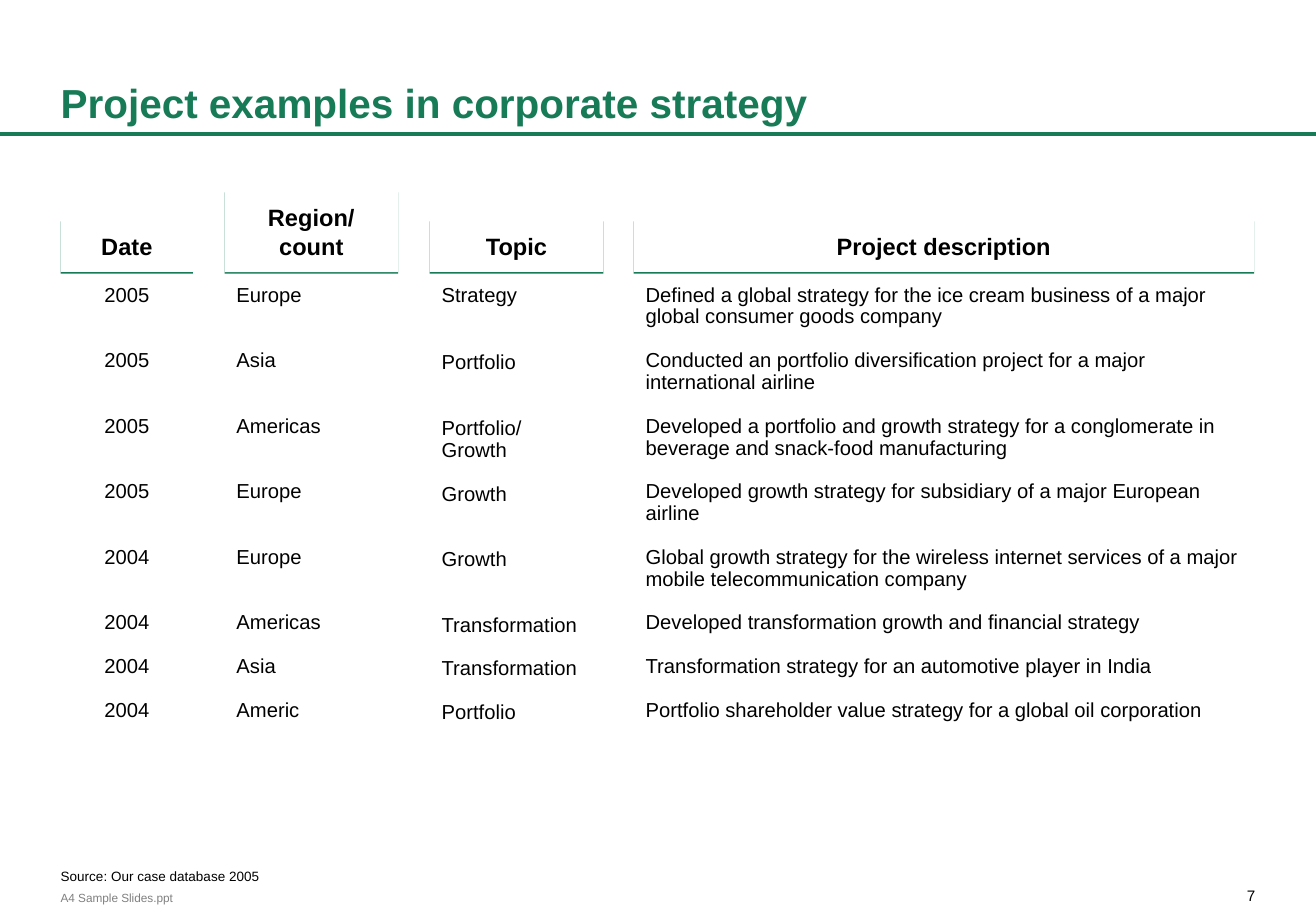
from dataclasses import dataclass

from lxml.etree import SubElement
from pptx import Presentation
from pptx.dml.color import RGBColor as RGB
from pptx.enum.shapes import MSO_CONNECTOR as Wire, MSO_SHAPE as Form
from pptx.enum.text import MSO_ANCHOR as Anchor, PP_ALIGN as Align
from pptx.oxml.ns import qn
from pptx.util import Emu, Pt


@dataclass(frozen=True)
class Theme:
    font: str = "Arial"
    green: str = "177B57"
    black: str = "000000"
    gray: str = "808080"
    white: str = "FFFFFF"
    title: int = 24
    head: int = 14
    body: int = 12
    page: int = 9
    source: int = 8
    foot: int = 7
    head_line: float = 17
    body_line: float = 12.95
    rule: float = 2.25


class Board:
    """Draws the elements of one slide in one theme."""

    def __init__(self, deck, theme, scale):
        self.theme, self.scale = theme, scale
        deck.slide_width, deck.slide_height = self.emu(1084, 750)
        self.slide = deck.slides.add_slide(deck.slide_layouts[6])

    def emu(self, *sizes):
        return [Emu(size * self.scale) for size in sizes]

    def letter(self, shape, text, size, color=None, bold=False, align=Align.LEFT,
               anchor=Anchor.TOP, pads=(0, 0, 0, 0), line=None):
        frame = shape.text_frame
        frame.word_wrap = True
        frame.vertical_anchor = anchor
        (frame.margin_left, frame.margin_top,
         frame.margin_right, frame.margin_bottom) = self.emu(*pads)
        frame.text = text
        for para in frame.paragraphs:
            para.alignment = align
            para.line_spacing = line
            for run in para.runs:
                font = run.font
                font.name, font.size, font.bold = self.theme.font, Pt(size), bold
                font.color.rgb = RGB.from_string(color or self.theme.black)
        return frame

    def label(self, box, text, size, **style):
        shape = self.slide.shapes.add_textbox(*self.emu(*box))
        return self.letter(shape, text, size, **style)

    def rule(self, start, end):
        wire = self.slide.shapes.add_connector(Wire.STRAIGHT, *self.emu(*start, *end))
        wire.line.color.rgb = RGB.from_string(self.theme.green)
        wire.line.width = Pt(self.theme.rule)
        SubElement(wire._element.spPr, qn("a:effectLst"))

    def head(self, box, text):
        shape = self.slide.shapes.add_shape(Form.RECTANGLE, *self.emu(*box))
        shape.fill.solid()
        shape.fill.fore_color.rgb = RGB.from_string(self.theme.white)
        shape.line.fill.background()
        shape.shadow.inherit = False
        effects = shape._element.spPr.find(qn("a:effectLst"))
        shade = SubElement(effects, qn("a:outerShdw"), blurRad="0", dist="12700",
                           dir="5400000", algn="ctr", rotWithShape="0")
        SubElement(shade, qn("a:srgbClr"), val=self.theme.green)
        self.letter(shape, text, self.theme.head, bold=True, align=Align.CENTER,
                    anchor=Anchor.BOTTOM, pads=(10, 10, 10, 10),
                    line=Pt(self.theme.head_line))

    def column(self, box, cells, gaps, align):
        frame = self.label(box, "\n".join(cells), self.theme.body, align=align,
                           pads=(10, 10, 10, 5), line=Pt(self.theme.body_line))
        for para, gap in zip(frame.paragraphs[1:], gaps):
            para.space_before = Pt(round(gap, 2))


ROWS = [
    ("2005", "Europe", "Strategy",
     "Defined a global strategy for the ice cream business of a major "
     "global consumer goods company"),
    ("2005", "Asia", "Portfolio",
     "Conducted an portfolio diversification project for a major international airline"),
    ("2005", "Americas", "Portfolio/\vGrowth",
     "Developed a portfolio and growth strategy for a conglomerate in "
     "beverage and snack-food manufacturing"),
    ("2005", "Europe", "Growth",
     "Developed growth strategy for subsidiary of a major European airline"),
    ("2004", "Europe", "Growth",
     "Global growth strategy for the wireless internet services of a major "
     "mobile telecommunication company"),
    ("2004", "Americas", "Transformation",
     "Developed transformation growth and financial strategy"),
    ("2004", "Asia", "Transformation",
     "Transformation strategy for an automotive player in India"),
    ("2004", "Americ", "Portfolio",
     "Portfolio shareholder value strategy for a global oil corporation"),
]
LINES = [3, 3, 3, 3, 3, 2, 2, 2]
HEADS = [
    ("Date", 50, 109, Align.CENTER),
    ("Region/\vcount", 185, 143, Align.LEFT),
    ("Topic", 354, 143, Align.LEFT),
    ("Project description", 522, 511, Align.LEFT),
]
BASE = 224
TOPIC_DROP = 1.4


def main():
    deck = Presentation()
    theme = Theme()
    board = Board(deck, theme, 9144)
    board.label((1013, 730, 21, 15), "7", theme.page, align=Align.RIGHT)
    board.label((50, 733, 96, 12), "A4 Sample Slides.ppt", theme.foot,
                color=theme.gray, anchor=Anchor.MIDDLE)
    board.rule((1084, 110), (0, 110))
    board.label((50, 18, 983, 91), "Project examples in corporate strategy",
                theme.title, color=theme.green, bold=True, anchor=Anchor.BOTTOM,
                pads=(0, 5, 0, 5))
    board.label((50, 692, 984, 36), "Source: Our case database 2005", theme.source,
                anchor=Anchor.BOTTOM, line=0.9)

    for (name, left, width, align), cells in zip(HEADS, zip(*ROWS)):
        tall = 67 if "\v" in name else 43
        board.head((left, BASE - tall, width, tall), name)
        if name == "Project description":
            gaps = [theme.body_line] * len(LINES)
        else:
            gaps = [(lines - 1 - cell.count("\v")) * theme.body_line
                    for lines, cell in zip(LINES, cells)]
        if name == "Topic":
            gaps[0] += TOPIC_DROP
        board.column((left, BASE, width, 382), cells, gaps, align)
    deck.save("out.pptx")


if __name__ == "__main__":
    main()
